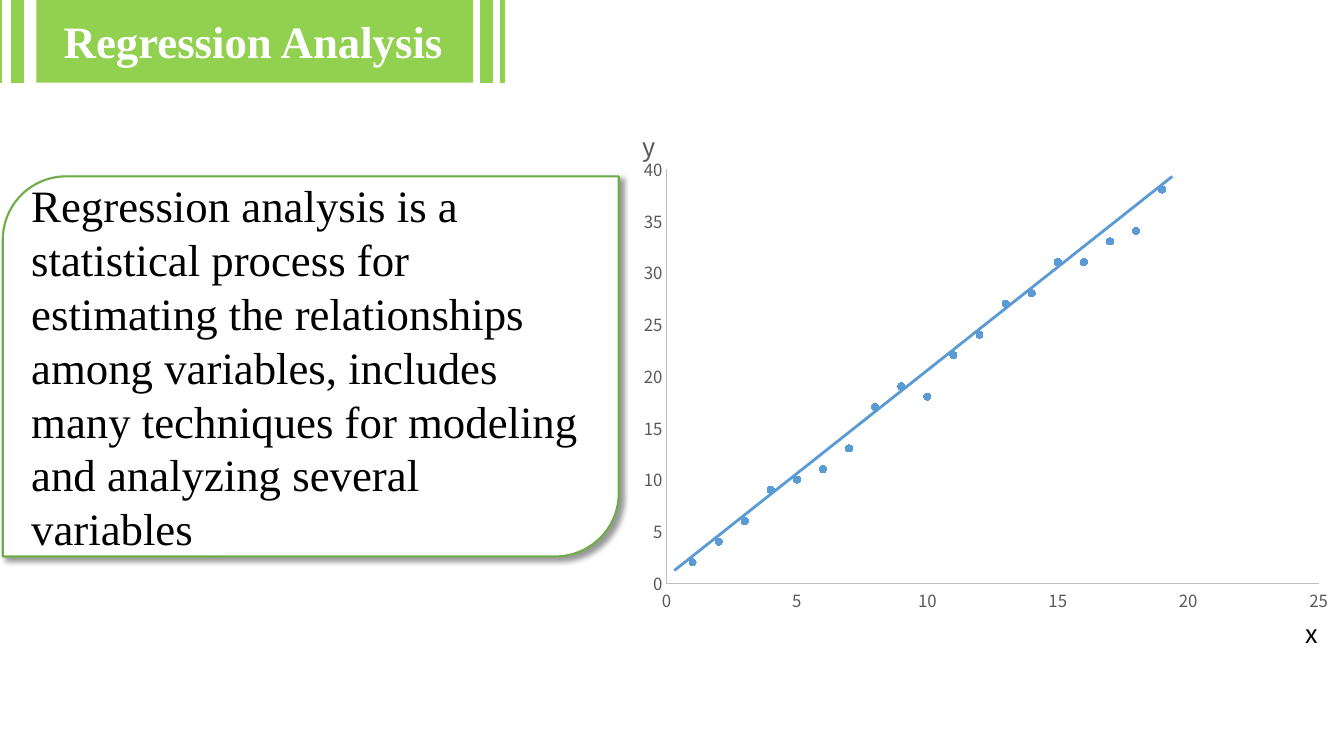
from lxml import etree
from pptx import Presentation
from pptx.chart.data import XyChartData
from pptx.dml.color import RGBColor
from pptx.enum.chart import XL_CHART_TYPE, XL_MARKER_STYLE, XL_TICK_MARK
from pptx.enum.shapes import MSO_CONNECTOR, MSO_SHAPE
from pptx.enum.text import MSO_ANCHOR, PP_ALIGN
from pptx.oxml import parse_xml
from pptx.oxml.ns import nsdecls, qn
from pptx.util import Pt

RECTANGLE = MSO_SHAPE.RECTANGLE
STRIPE = MSO_SHAPE.FLOWCHART_PROCESS
DIAGONAL_ROUND = MSO_SHAPE.ROUND_2_DIAG_RECTANGLE
SCATTER = XL_CHART_TYPE.XY_SCATTER
CIRCLE = XL_MARKER_STYLE.CIRCLE
NO_TICKS = XL_TICK_MARK.NONE
STRAIGHT = MSO_CONNECTOR.STRAIGHT
LEFT, CENTER = PP_ALIGN.LEFT, PP_ALIGN.CENTER
TOP, MIDDLE = MSO_ANCHOR.TOP, MSO_ANCHOR.MIDDLE
SERIF, SANS = "Times New Roman", "Noto Sans CJK SC"
COLORS = {"banner": "92D050", "border": "70AD47", "white": "FFFFFF",
          "black": "000000", "label": "595959", "axis": "BFBFBF", "data": "5B9BD5"}


def color(name):
    return RGBColor.from_string(COLORS[name])


def write_text(frame, text, font=SERIF, size=32, ink="black", bold=False,
               align=LEFT, anchor=TOP, wrap=True):
    frame.word_wrap = wrap
    frame.vertical_anchor = anchor
    paragraph = frame.paragraphs[0]
    paragraph.alignment = align
    run = paragraph.add_run()
    run.text = text
    run.font.name, run.font.size, run.font.bold = font, Pt(size), bold
    run.font.color.rgb = color(ink)


presentation = Presentation()
presentation.slide_width, presentation.slide_height = Pt(960), Pt(540)
slide = presentation.slides.add_slide(presentation.slide_layouts[6])

# Title banner with stripes on both sides
banner = slide.shapes.add_group_shape()
banner_parts = [(RECTANGLE, 26, 0, 312, 59), (STRIPE, 343, 0, 9.4, 59),
                (STRIPE, 357, 0, 3.6, 59), (STRIPE, 8, 0, 9.4, 59),
                (STRIPE, -2, 0, 3.6, 59), (RECTANGLE, 37, 6, 288, 46)]
for kind, left, top, width, height in banner_parts:
    shape = banner.shapes.add_shape(kind, Pt(left), Pt(top), Pt(width), Pt(height))
    shape.shadow.inherit = False
    shape.fill.solid()
    shape.fill.fore_color.rgb = color("banner")
    shape.line.fill.background()
write_text(shape.text_frame, "Regression Analysis", ink="white", bold=True,
           align=CENTER, anchor=MIDDLE, wrap=False)

# Definition card
card = slide.shapes.add_shape(DIAGONAL_ROUND, Pt(2), Pt(126), Pt(440), Pt(271.5))
card.fill.solid()
card.fill.fore_color.rgb = color("white")
card.line.color.rgb = color("border")
card.line.width = Pt(1.5)
card._element.spPr.append(parse_xml(
    f'<a:effectLst {nsdecls("a")}><a:outerShdw blurRad="{Pt(4)}" dist="{Pt(3)}" '
    f'dir="2700000" algn="tl" rotWithShape="0"><a:srgbClr val="{COLORS["black"]}">'
    '<a:alpha val="40000"/></a:srgbClr></a:outerShdw></a:effectLst>'))
write_text(card.text_frame,
           "Regression analysis is a statistical process for estimating the "
           "relationships among variables, includes many techniques for modeling "
           "and analyzing several variables",
           anchor=MIDDLE)

# Scatter chart
chart_data = XyChartData()
points = chart_data.add_series("Series 1")
y_values = [2, 4, 6, 9, 10, 11, 13, 17, 19, 18, 22, 24, 27, 28, 31, 31, 33, 34, 38]
for x, y in enumerate(y_values, start=1):
    points.add_data_point(x, y)
chart = slide.shapes.add_chart(SCATTER, Pt(451), Pt(81.5),
                               Pt(501), Pt(356.5), chart_data).chart
chart.has_legend = False
chart.font.name, chart.font.size = SANS, Pt(10)
write_text(chart.chart_title.text_frame, "y", font=SANS, size=18, ink="label")
chart.chart_title.include_in_layout = True

for axis, maximum in ((chart.category_axis, 25), (chart.value_axis, 40)):
    axis.minimum_scale, axis.maximum_scale, axis.major_unit = 0, maximum, 5
    axis.major_tick_mark = axis.minor_tick_mark = NO_TICKS
    axis.has_major_gridlines = True
    for line, ink in ((axis.format.line, "axis"),
                      (axis.major_gridlines.format.line, "white")):
        line.color.rgb = color(ink)
        line.width = Pt(0.75)
    labels = axis.tick_labels
    labels.font.name, labels.font.size = SANS, Pt(12)
    labels.font.color.rgb = color("label")
    labels.number_format, labels.number_format_is_linked = "General", False

plot = chart.plots[0]
plot.vary_by_categories = False
series = plot.series[0]
series.format.line.fill.background()
series.marker.style, series.marker.size = CIRCLE, 5
series.marker.format.fill.solid()
series.marker.format.fill.fore_color.rgb = color("data")
series.marker.format.line.color.rgb = color("data")

# Manual places for the plot area and the y title, as fractions of the chart
chart_element = chart._chartSpace.chart
plot_place = {"layoutTarget": "inner", "xMode": "edge", "yMode": "edge",
              "x": 0.05, "y": 0.11, "w": 0.93, "h": 0.83}
title_place = {"xMode": "edge", "yMode": "edge", "x": 0.01, "y": 0.01}
for parent, place, index in ((chart_element.plotArea, plot_place, 0),
                             (chart_element.find(qn("c:title")), title_place, 1)):
    for previous in parent.findall(qn("c:layout")):
        parent.remove(previous)
    layout = parse_xml(f'<c:layout {nsdecls("c")}><c:manualLayout/></c:layout>')
    for tag, value in place.items():
        etree.SubElement(layout[0], qn(f"c:{tag}")).set("val", str(value))
    parent.insert(index, layout)

# x label and fitted line
x_label = slide.shapes.add_textbox(Pt(925.5), Pt(438), Pt(54), Pt(29))
write_text(x_label.text_frame, "x", font=SANS, size=18)

fit_line = slide.shapes.add_connector(STRAIGHT, Pt(481.7), Pt(407.5),
                                      Pt(837.4), Pt(126))
fit_line.line.color.rgb = color("data")
fit_line.line.width = Pt(2)
etree.SubElement(fit_line._element.spPr, qn("a:effectLst"))

presentation.save("out.pptx")
